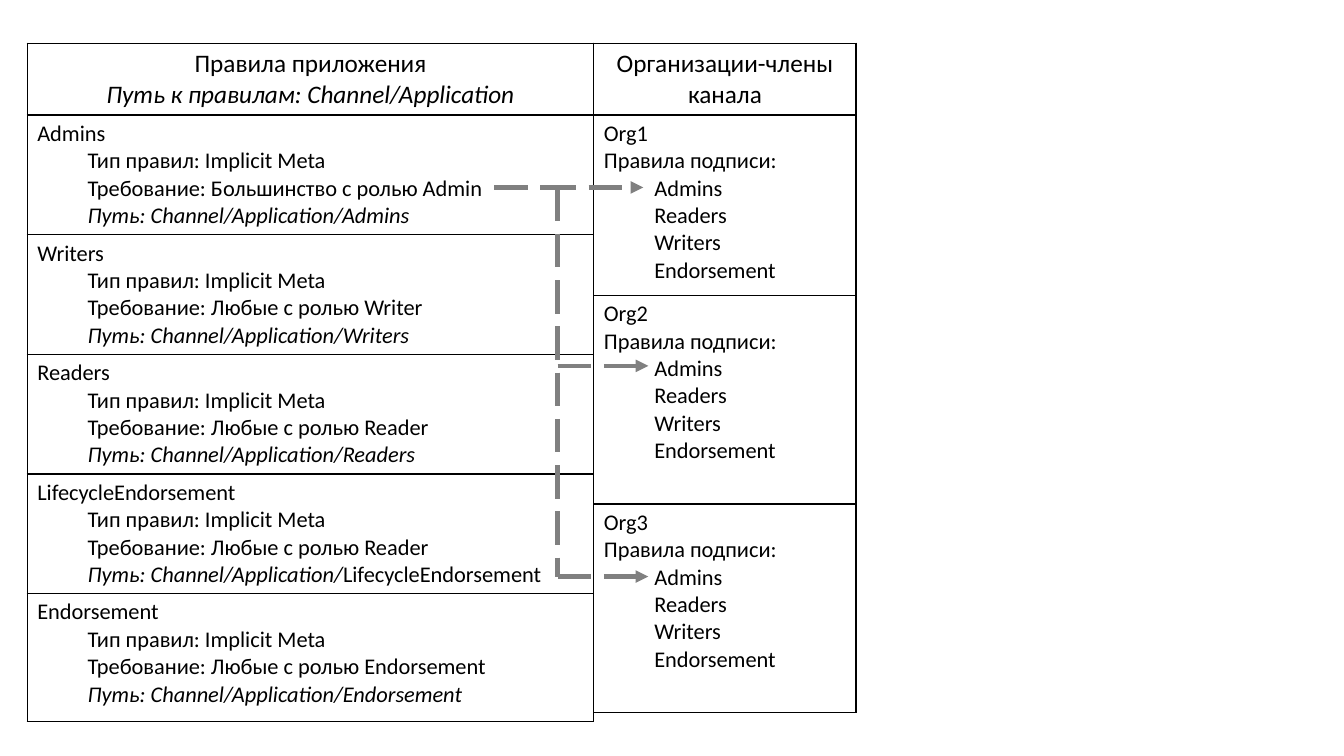
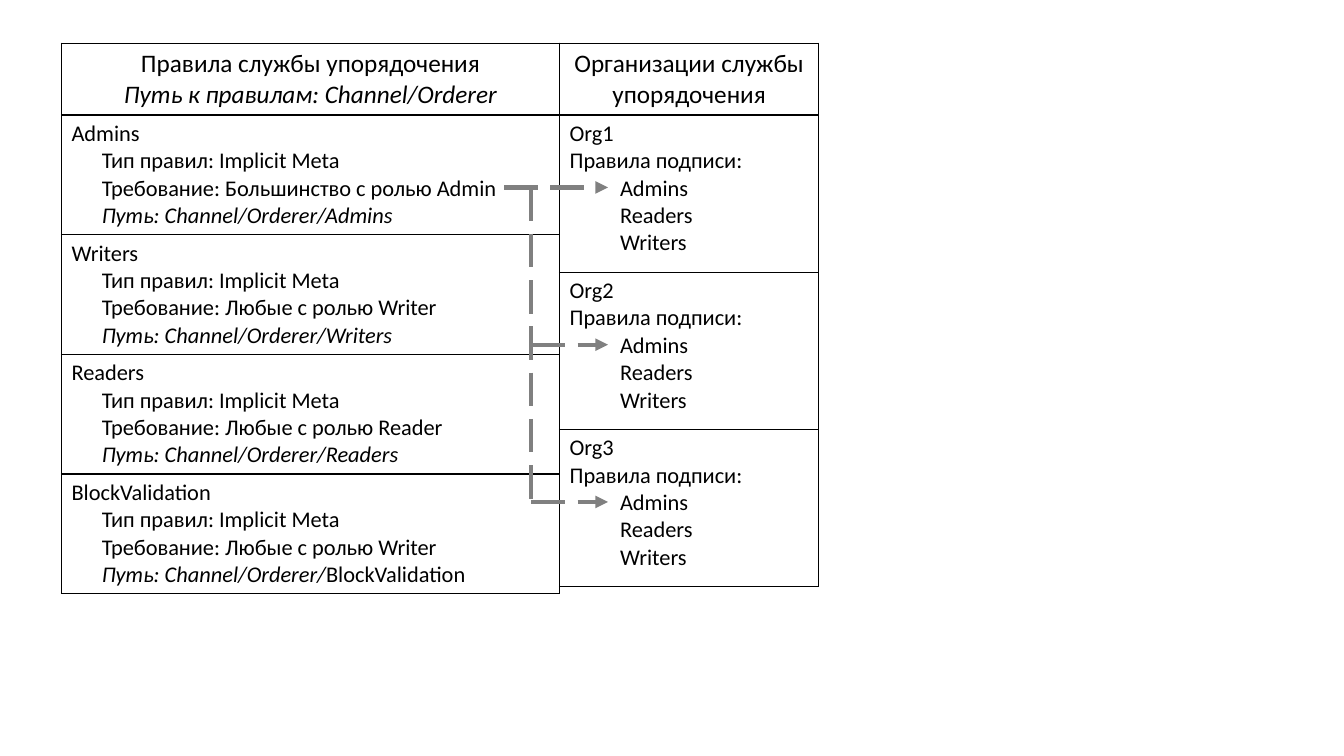
from dataclasses import dataclass

from pptx import Presentation
from pptx.dml.color import RGBColor
from pptx.enum.dml import MSO_LINE
from pptx.enum.shapes import MSO_CONNECTOR
from pptx.enum.text import PP_ALIGN
from pptx.oxml import parse_xml
from pptx.oxml.ns import nsdecls, qn
from pptx.util import Pt

SCALE = 9144  # EMU per px, 100 px to the inch
STRAIGHT = MSO_CONNECTOR.STRAIGHT
DASH = MSO_LINE.LONG_DASH
CENTER = PP_ALIGN.CENTER
TOP = 43
INDENT = 50


@dataclass(frozen=True)
class Theme:
    font: str = "Calibri"
    ink: str = "000000"
    line: str = "808080"
    head: int = 18
    body: int = 16
    border: int = 1
    stroke: int = 3


@dataclass(frozen=True)
class Rule:
    name: str
    need: str
    plain: bool = False  # name stays upright at the end of the path


THEME = Theme()


def px(value):
    return value * SCALE


def add_line(frame, text, size, first=False, align=None, indent=0,
             italic=False, plain=""):
    """Add a paragraph; plain is an upright ending after italic text."""
    para = frame.paragraphs[0] if first else frame.add_paragraph()
    font = para.font
    font.name, font.size = THEME.font, Pt(size)
    font.color.rgb = RGBColor.from_string(THEME.ink)
    run = para.add_run()
    run.text = text
    if plain:
        run.font.italic = True
        end = para.add_run()
        end.text = plain
        end.font.italic = False
    else:
        font.italic = italic
    if align is not None:
        para.alignment = align
    if indent:
        para.level = 1
        props = para._p.get_or_add_pPr()
        props.set("marL", str(px(indent)))
        props.set("indent", "0")


def style_cell(cell):
    props = cell._tc.get_or_add_tcPr()
    for side in ("lnL", "lnR", "lnT", "lnB"):
        props.append(parse_xml(
            f'<a:{side} {nsdecls("a")} w="{Pt(THEME.border)}"><a:solidFill>'
            f'<a:srgbClr val="{THEME.ink}"/></a:solidFill></a:{side}>'))
    cell.fill.background()


def add_grid(slide, left, width, rows):
    """Add a one-column table and return the text frames of its rows."""
    shape = slide.shapes.add_table(
        len(rows), 1, px(left), px(TOP), px(width), px(sum(rows)))
    table = shape.table
    table.first_row = table.horz_banding = False
    table.columns[0].width = px(width)
    frames = []
    for i, height in enumerate(rows):
        table.rows[i].height = px(height)
        cell = table.cell(i, 0)
        style_cell(cell)
        frames.append(cell.text_frame)
    return frames


def add_rules(slide, left, width, rows, title, path, rules, indent):
    head, *cells = add_grid(slide, left, width, rows)
    add_line(head, title, THEME.head, first=True, align=CENTER)
    add_line(head, f"Путь к правилам: {path}", THEME.head, align=CENTER,
             italic=True)
    for frame, rule in zip(cells, rules):
        add_line(frame, rule.name, THEME.body, first=True)
        for text in ("Тип правил: Implicit Meta", f"Требование: {rule.need}"):
            add_line(frame, text, THEME.body, indent=indent)
        base = f"Путь: {path}/"
        if rule.plain:
            add_line(frame, base, THEME.body, indent=indent, plain=rule.name)
        else:
            add_line(frame, base + rule.name, THEME.body, indent=indent,
                     italic=True)


def add_orgs(slide, left, width, rows, title, roles):
    head, *cells = add_grid(slide, left, width, rows)
    add_line(head, title, THEME.head, first=True, align=CENTER)
    for i, frame in enumerate(cells, 1):
        add_line(frame, f"Org{i}", THEME.body, first=True)
        add_line(frame, "Правила подписи:", THEME.body)
        for role in roles:
            add_line(frame, role, THEME.body, indent=INDENT)


def add_dash(slide, x1, y1, x2, y2, arrow=False):
    link = slide.shapes.add_connector(STRAIGHT, px(x1), px(y1), px(x2), px(y2))
    link.line.color.rgb = RGBColor.from_string(THEME.line)
    link.line.width = Pt(THEME.stroke)
    link.line.dash_style = DASH
    props = link.element.spPr
    if arrow:
        props.find(qn("a:ln")).append(
            parse_xml(f'<a:tailEnd {nsdecls("a")} type="triangle"/>'))
    props.append(parse_xml(f'<a:effectLst {nsdecls("a")}/>'))


def add_tree(slide, trunk, arms):
    """Draw a vertical trunk and one arrow per arm (start, end, y)."""
    add_dash(slide, trunk, arms[0][2], trunk, arms[-1][2])
    for start, end, y in arms:
        add_dash(slide, start, y, end, y, arrow=True)


def build_app(slide):
    rules = [
        Rule("Admins", "Большинство с ролью Admin"),
        Rule("Writers", "Любые с ролью Writer"),
        Rule("Readers", "Любые с ролью Reader"),
        Rule("LifecycleEndorsement", "Любые с ролью Reader", plain=True),
        Rule("Endorsement", "Любые с ролью Endorsement"),
    ]
    add_rules(slide, 27, 562, [70] + [117] * 4 + [127], "Правила приложения",
              "Channel/Application", rules, INDENT)
    add_orgs(slide, 589, 260, [70, 179, 207, 207], "Организации-члены канала",
             ["Admins", "Readers", "Writers", "Endorsement"])
    add_dash(slide, 490, 186, 541, 186)
    add_tree(slide, 553,
             [(538, 638, 186), (553, 643, 363), (553, 643, 572)])


def build_order(slide):
    rules = [
        Rule("Admins", "Большинство с ролью Admin"),
        Rule("Writers", "Любые с ролью Writer"),
        Rule("Readers", "Любые с ролью Reader"),
        Rule("BlockValidation", "Любые с ролью Writer", plain=True),
    ]
    add_rules(slide, 61, 494, [67] + [112] * 3 + [116],
              "Правила службы упорядочения", "Channel/Orderer", rules, 30)
    add_orgs(slide, 555, 257, [70] + [156] * 3,
             "Организации службы упорядочения",
             ["Admins", "Readers", "Writers"])
    add_tree(slide, 527,
             [(500, 603, 186), (527, 603, 342), (527, 603, 498)])


def main():
    deck = Presentation()
    deck.slide_width, deck.slide_height = px(1333), px(750)
    blank = deck.slide_layouts[6]
    for build in (build_app, build_order):
        build(deck.slides.add_slide(blank))
    deck.save("out.pptx")


if __name__ == "__main__":
    main()
